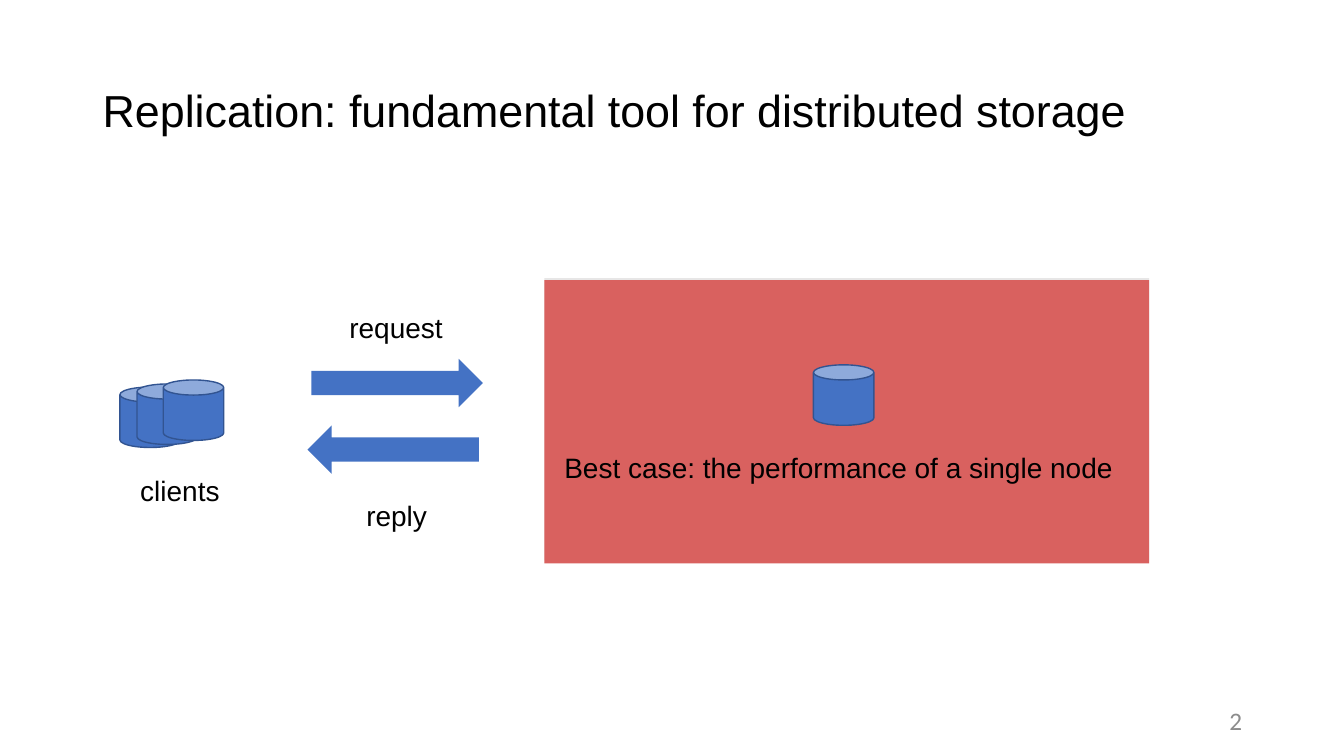
from pptx import Presentation
from pptx.dml.color import RGBColor
from pptx.enum.shapes import MSO_SHAPE
from pptx.enum.text import MSO_ANCHOR, PP_ALIGN
from pptx.util import Inches, Pt

CELL = 0.1
BLUE = "4472C4"
EDGE = "325491"


def tint(code):
    return RGBColor.from_string(code)


def grid(*cells):
    return [Inches(cell * CELL) for cell in cells]


def block(slide, kind, place, fill, edge=None):
    shape = slide.shapes.add_shape(kind, *grid(*place))
    shape.shadow.inherit = False
    shape.fill.solid()
    shape.fill.fore_color.rgb = tint(fill)
    if edge:
        shape.line.color.rgb = tint(edge)
        shape.line.width = Pt(1)
    else:
        shape.line.fill.background()
    return shape


def disk(slide, left, top):
    block(slide, MSO_SHAPE.CAN, (left, top, 6, 6), BLUE, EDGE)


def arrow(slide, left, top, turn=0):
    shape = block(slide, MSO_SHAPE.RIGHT_ARROW, (left, top, 17, 4.8), BLUE)
    shape.rotation = turn


def label(slide, text, place, size=20, align=PP_ALIGN.CENTER, font="Arial",
          color="000000", anchor=MSO_ANCHOR.TOP, wrap=False, lead=1.0):
    frame = slide.shapes.add_textbox(*grid(*place)).text_frame
    frame.text = text
    frame.word_wrap = wrap
    frame.vertical_anchor = anchor
    para = frame.paragraphs[0]
    para.alignment = align
    para.line_spacing = lead
    face = para.runs[0].font
    face.name = font
    face.size = Pt(size)
    face.color.rgb = tint(color)


def main():
    deck = Presentation()
    deck.slide_width, deck.slide_height = grid(133.33, 75)
    slide = deck.slides.add_slide(deck.slide_layouts[6])

    label(slide, "Replication: fundamental tool for distributed storage",
          (9.2, 4, 115, 14.5), 32, PP_ALIGN.LEFT,
          anchor=MSO_ANCHOR.MIDDLE, wrap=True, lead=0.9)

    block(slide, MSO_SHAPE.RECTANGLE, (54, 27.6, 60, 28), "E7E6E6")
    block(slide, MSO_SHAPE.RECTANGLE, (54, 27.8, 60, 28.1), "D9615F")

    for left, top in ((11.9, 38.4), (13.6, 38.1), (16.2, 37.7), (80.7, 36.2)):
        disk(slide, left, top)

    arrow(slide, 30.9, 35.6)
    arrow(slide, 30.5, 42.2, 180)

    label(slide, "clients", (12.8, 46.5, 10.1, 4.4))
    label(slide, "request", (33.6, 30.3, 11.4, 4.4))
    label(slide, "reply", (35.3, 49, 8.1, 4.4))
    label(slide, "Best case: the performance of a single node",
          (55, 44.2, 57.3, 4.4), align=PP_ALIGN.LEFT)
    label(slide, "2", (94.2, 70, 30, 3), 18, PP_ALIGN.RIGHT, "Calibri",
          "8C8C8C", MSO_ANCHOR.MIDDLE, True)

    deck.save("out.pptx")


if __name__ == "__main__":
    main()
